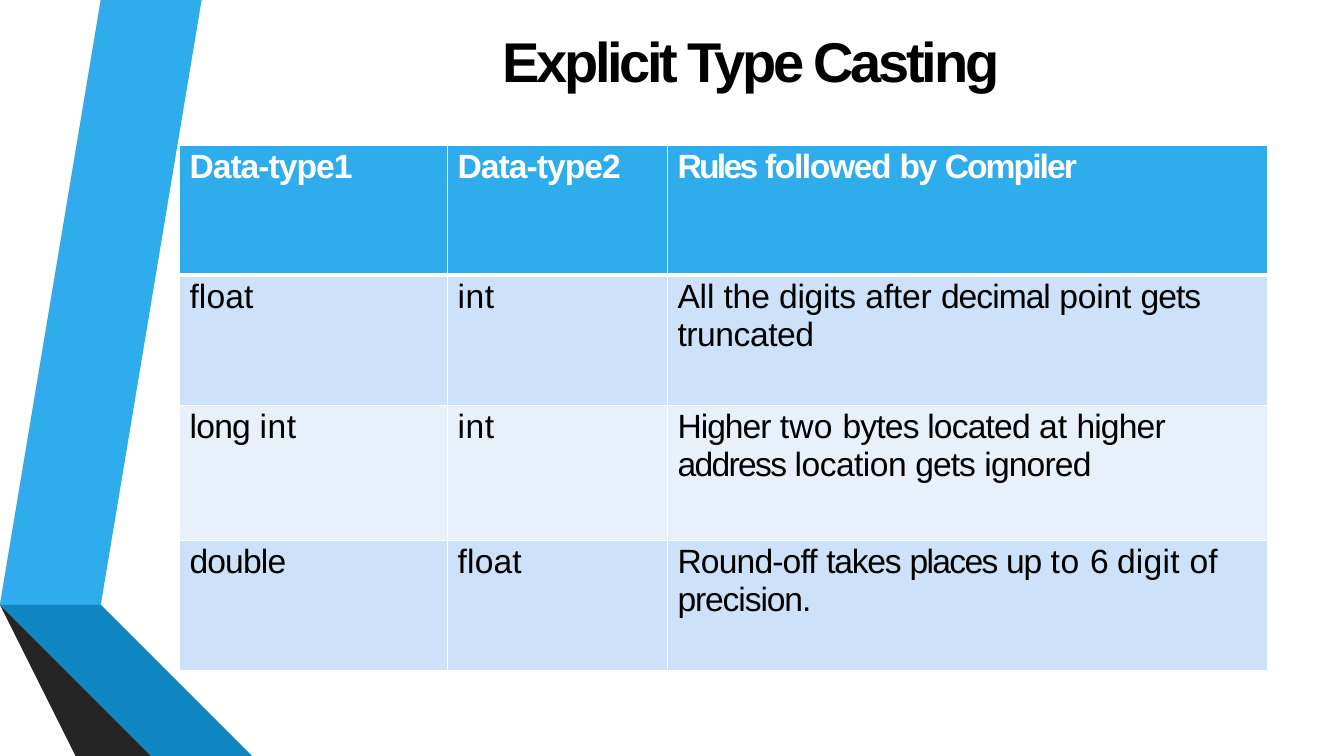
"""Build the Explicit Type Casting slide with its table and side ribbon."""
from lxml.etree import SubElement
from pptx import Presentation
from pptx.dml.color import RGBColor as RGB
from pptx.oxml.ns import qn
from pptx.util import Inches, Pt

COLORS = {
    "blue": "2FACEB", "gray": "585858", "black": "000000", "white": "FFFFFF",
    "ink": "252525", "navy": "0C5A82", "deep": "1286C3", "dark": "404040",
    "band": "CDE2F8", "pale": "E8F0FA",
}
RIBBONS = [
    ("blue", [(1.73, 0), (1.45, 0), (0.5, 5.78), (0.77, 5.83)]),
    ("gray", [(1.39, 0), (1.11, 0), (0.16, 5.73), (0.44, 5.77)]),
    ("ink", [(0.16, 5.73), (1.45, 7.5), (1.51, 7.5)]),
    ("navy", [(0.5, 5.79), (2.08, 7.5), (2.14, 7.5)]),
    ("deep", [(0.5, 5.78), (0.5, 5.79), (2.14, 7.5), (2.83, 7.5), (0.77, 5.83)]),
    ("dark", [(0.16, 5.73), (1.51, 7.5), (2.02, 7.5), (0.48, 5.83),
              (0.43, 5.78), (0.44, 5.77)]),
]
TITLE = [("Explicit Type Casting", -2.3)]
COLS = [2.66, 2.18, 5.95]
ROWS = [1.29, 1.29, 1.34, 1.29]
ROW_FILLS = ["blue", "band", "pale", "band"]
# Each cell lists its lines; each line lists (text, letter spacing in points).
CELLS = [
    [[[("Data-type1", -0.7)]],
     [[("Data-type2", -0.7)]],
     [[("Rules ", -1.9), ("followed ", -1), ("by ", -1.2), ("Compiler", -1.4)]]],
    [[[("float", 0.1)]],
     [[("int", 0.4)]],
     [[("All the ", -0.1), ("digits ", -0.2), ("after ", -0.1),
       ("decimal ", -0.7), ("point ", -0.1), ("gets", -0.7)],
      [("truncated", -0.3)]]],
    [[[("long ", -0.5), ("int", 0.4)]],
     [[("int", 0.4)]],
     [[("Higher ", -0.7), ("two ", 0.2), ("bytes located ", -0.6),
       ("at ", 0), ("higher", -0.6)],
      [("address ", -1.2), ("location ", -0.4), ("gets ", -0.7), ("ignored", -0.6)]]],
    [[[("double", -0.6)]],
     [[("float", 0.1)]],
     [[("Round-off ", -0.6), ("takes ", -0.9), ("places ", -1.2), ("up ", -0.8),
       ("to ", 0.5), ("6 ", -0.8), ("digit ", 0.2), ("of", 0.1)],
      [("precision.", -0.8)]]],
]


def rgb(name):
    return RGB.from_string(COLORS[name])


def write_line(p, runs, size, color, bold):
    for text, spacing in runs:
        r = p.add_run()
        r.text = text
        r.font.name = "Arial"
        r.font.size = Pt(size)
        r.font.bold = bold
        r.font.color.rgb = rgb(color)
        r._r.get_or_add_rPr().set("spc", str(round(spacing * 100)))


def set_border(cell, index, side, width):
    tc_pr = cell._tc.get_or_add_tcPr()
    ln = SubElement(tc_pr, qn(f"a:ln{side}"), w=str(Pt(width)))
    fill = SubElement(ln, qn("a:solidFill"))
    SubElement(fill, qn("a:srgbClr"), val=COLORS["white"])
    tc_pr.insert(index, ln)


def add_ribbon(s, color, points):
    builder = s.shapes.build_freeform(*points[0], scale=Inches(1))
    builder.add_line_segments(points[1:], close=True)
    sp = builder.convert_to_shape()
    sp.shadow.inherit = False
    sp.fill.solid()
    sp.fill.fore_color.rgb = rgb(color)
    sp.line.fill.background()


def add_title(s):
    sp = s.shapes.add_textbox(Inches(4.09), Inches(0.25), Inches(6.16), Inches(0.69))
    tf = sp.text_frame
    tf.word_wrap = True
    tf.margin_left, tf.margin_top = Inches(0.89), Inches(0.01)
    tf.margin_right = tf.margin_bottom = 0
    tf.paragraphs[0].space_before = Pt(1.1)
    write_line(tf.paragraphs[0], TITLE, 40, "black", True)


def fill_cell(cell, lines, row):
    header = row == 0
    cell.margin_left, cell.margin_top = Inches(0.1), Inches(0.03)
    cell.margin_right = cell.margin_bottom = 0
    cell.fill.solid()
    cell.fill.fore_color.rgb = rgb(ROW_FILLS[row])
    tf = cell.text_frame
    for i, runs in enumerate(lines):
        p = tf.add_paragraph() if i else tf.paragraphs[0]
        p.space_before = Pt(0 if i else 2.2)
        write_line(p, runs, 24, "white" if header else "black", header)
    widths = {"L": 1, "R": 1, "T": 3 if row == 1 else 1, "B": 3 if header else 1}
    for i, (side, width) in enumerate(widths.items()):
        set_border(cell, i, side, width)


def add_rules_table(s):
    table = s.shapes.add_table(len(ROWS), len(COLS), Inches(1.78), Inches(1.44),
                               Inches(sum(COLS)), Inches(sum(ROWS))).table
    table.first_row = table.horz_banding = False
    for column, width in zip(table.columns, COLS):
        column.width = Inches(width)
    for i, height in enumerate(ROWS):
        table.rows[i].height = Inches(height)
        for j, lines in enumerate(CELLS[i]):
            fill_cell(table.cell(i, j), lines, i)


def main():
    prs = Presentation()
    prs.slide_width, prs.slide_height = Inches(13.33), Inches(7.5)
    s = prs.slides.add_slide(prs.slide_layouts[6])
    for color, points in RIBBONS:
        add_ribbon(s, color, points)
    add_title(s)
    add_rules_table(s)
    prs.save("out.pptx")


if __name__ == "__main__":
    main()
